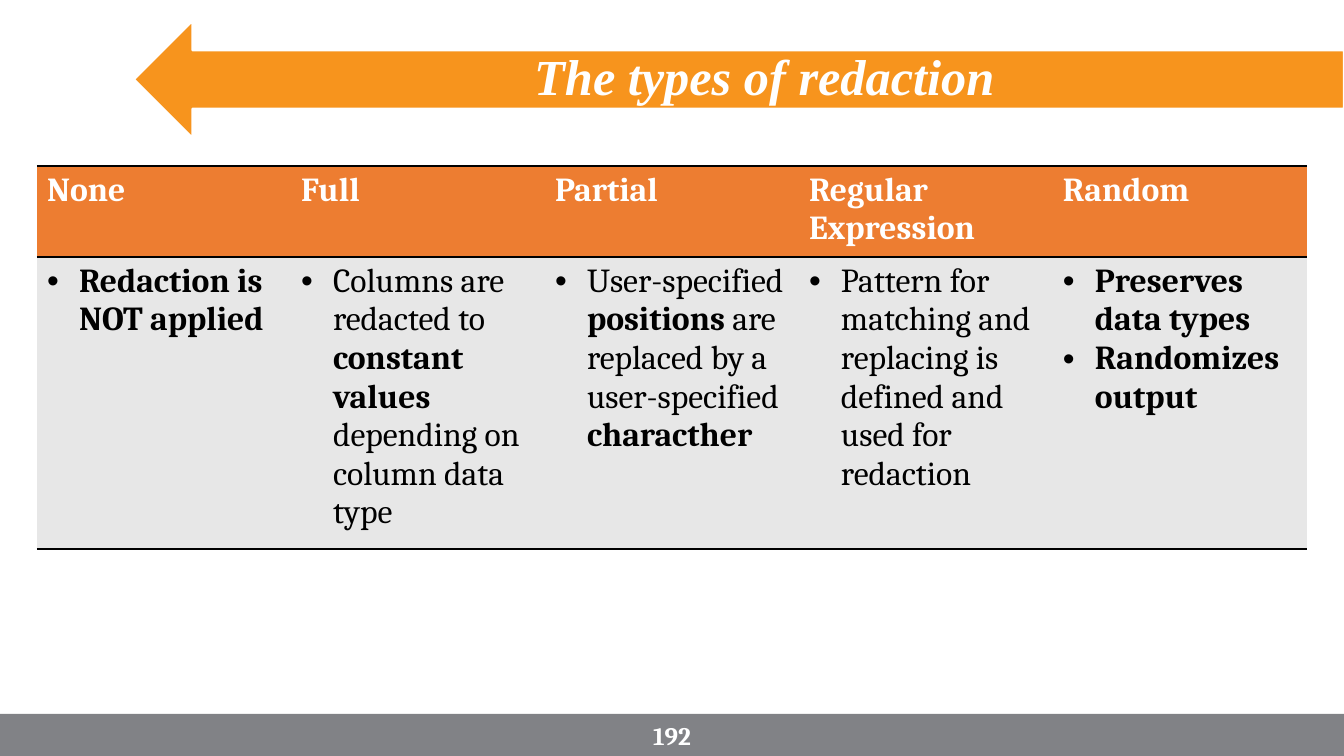
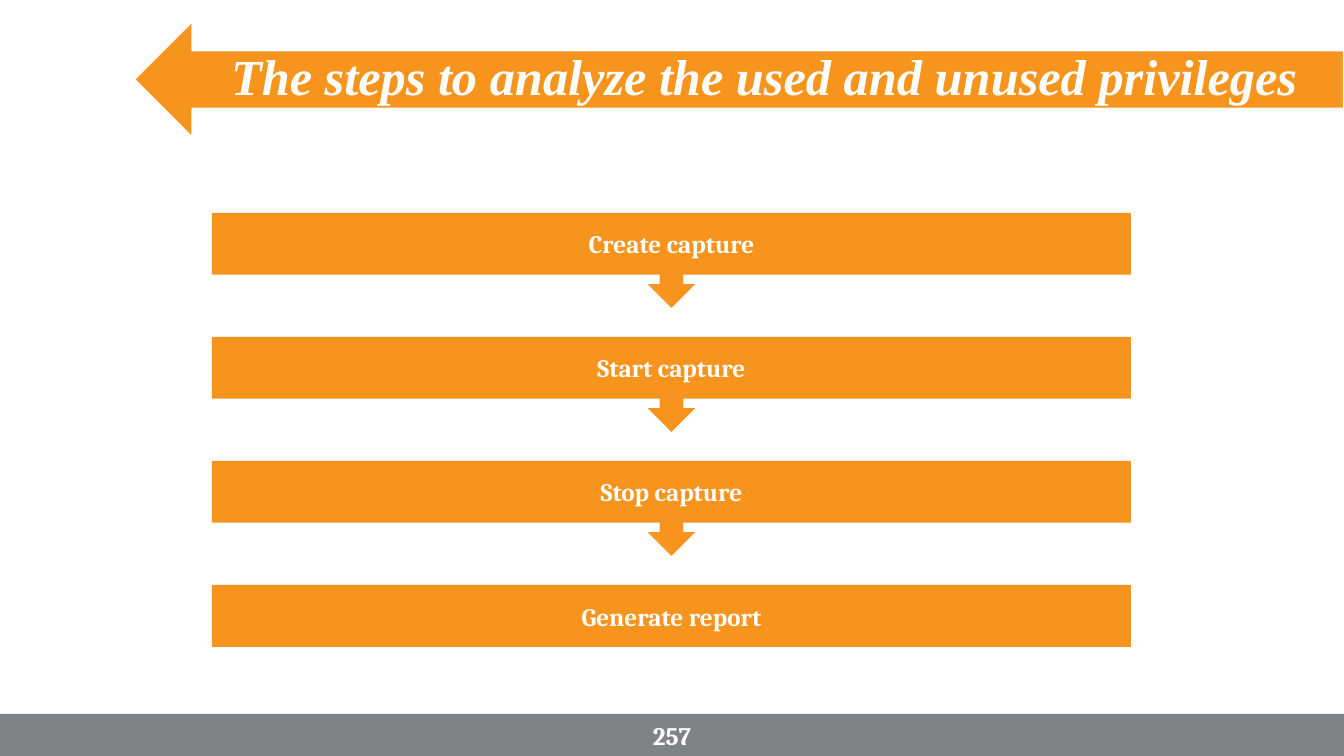
from pptx import Presentation
from pptx import util as u
from pptx.dml.color import RGBColor
from pptx.enum import shapes, text
from pptx.oxml import parse_xml
from pptx.oxml.ns import nsdecls, qn
from lxml import etree

WHITE = RGBColor(0xFF, 0xFF, 0xFF)
BLACK = RGBColor(0x00, 0x00, 0x00)
ORANGE = RGBColor(0xF7, 0x94, 0x1D)
HEADER_ORANGE = RGBColor(0xED, 0x7D, 0x31)
PALE_GRAY = RGBColor(0xE7, 0xE7, 0xE7)
FOOTER_GRAY = RGBColor(0x81, 0x82, 0x86)

BODY_FONT = "Cambria"
TITLE_FONT = "Times New Roman"
PAGE_WIDTH, PAGE_HEIGHT = 1344, 756
EMU_PER_PX = 12192000 / PAGE_WIDTH
PLAIN_TABLE_STYLE = "{2D5ABB26-0587-4C30-8999-92F81FD0307C}"

REDACTION_TYPES = {
    "None": ["**Redaction is NOT applied**"],
    "Full": ["Columns are redacted to **constant values **depending on column data type"],
    "Partial": ["User-specified **positions** are replaced by a user-specified **characther**"],
    "Regular Expression": [
        "Pattern for matching and replacing is defined and used for redaction"],
    "Random": ["**Preserves data types**", "**Randomizes output**"],
}
PRIVILEGE_STEPS = ["Create capture", "Start capture", "Stop capture", "Generate report"]


def px(length):
    return u.Emu(round(length * EMU_PER_PX))


def set_font(para, size, color, name=BODY_FONT, bold=None, italic=None):
    font = para.font
    font.name, font.size, font.color.rgb = name, u.Pt(size), color
    font.bold, font.italic = bold, italic


def add_bullet(para, indent):
    props = para._p.get_or_add_pPr()
    props.set("marL", str(px(indent)))
    props.set("indent", str(-px(indent)))
    etree.SubElement(props, qn("a:buFont")).set("typeface", "Arial")
    etree.SubElement(props, qn("a:buChar")).set("char", "•")


def add_spans(para, marked):
    """Add runs, with the parts between ** marks in bold."""
    for index, part in enumerate(marked.split("**")):
        if part:
            span = para.add_run()
            span.text = part
            span.font.bold = index % 2 == 1


def rule_cell(cell, points=2):
    """Draw a black line above and below a cell."""
    props = cell._tc.get_or_add_tcPr()
    for position, side in enumerate(("lnT", "lnB")):
        props.insert(position, parse_xml(
            f'<a:{side} {nsdecls("a")} w="{u.Pt(points)}"><a:solidFill>'
            f'<a:srgbClr val="{BLACK}"/></a:solidFill></a:{side}>'))


class Deck:
    def __init__(self):
        self.deck = Presentation()
        self.deck.slide_width = px(PAGE_WIDTH)
        self.deck.slide_height = px(PAGE_HEIGHT)
        self.page = None

    def add_page(self, title, number):
        self.page = self.deck.slides.add_slide(self.deck.slide_layouts[5])
        arrow = self.add_block(shapes.MSO_SHAPE.LEFT_ARROW, 134, 21, 1210, 117, ORANGE)
        arrow.line.color.rgb = WHITE
        arrow.line.width = u.Pt(1.5)
        self.add_block(shapes.MSO_SHAPE.RECTANGLE, 0, 714, PAGE_WIDTH, 42, FOOTER_GRAY)
        self.add_title(title)
        self.add_number(number)

    def add_title(self, title):
        box = self.page.shapes.title
        box.element.getparent().append(box.element)  # in front of the arrow
        box.left, box.top, box.width, box.height = map(px, (167, 43, 1195, 73))
        box.text_frame.vertical_anchor = text.MSO_ANCHOR.MIDDLE
        para = box.text_frame.paragraphs[0]
        para.text = title
        para.alignment = text.PP_ALIGN.CENTER
        para.line_spacing = 0.9
        set_font(para, 36, WHITE, TITLE_FONT, bold=True, italic=True)

    def add_number(self, number):
        box = self.page.shapes.add_textbox(*map(px, (634, 715, 76, 40)))
        self.write_label(box, str(number))

    def write_label(self, box, label):
        frame = box.text_frame
        frame.word_wrap = True
        frame.vertical_anchor = text.MSO_ANCHOR.MIDDLE
        para = frame.paragraphs[0]
        para.text = label
        para.alignment = text.PP_ALIGN.CENTER
        set_font(para, 18, WHITE, bold=True)

    def add_block(self, kind, left, top, width, height, color):
        block = self.page.shapes.add_shape(kind, *map(px, (left, top, width, height)))
        block.shadow.inherit = False
        block.fill.solid()
        block.fill.fore_color.rgb = color
        block.line.fill.background()
        return block

    def add_table(self, columns, left, top, column_width, row_heights):
        """Draw one column per entry: its key as header, its items as bullets."""
        frame = self.page.shapes.add_table(
            2, len(columns), px(left), px(top),
            px(column_width * len(columns)), px(sum(row_heights)))
        table = frame.table
        table.horz_banding = False
        table._tbl.tblPr.find(qn("a:tableStyleId")).text = PLAIN_TABLE_STYLE
        for row, height in zip(table.rows, row_heights):
            row.height = px(height)
        for index, (header, items) in enumerate(columns.items()):
            table.columns[index].width = px(column_width)
            self.fill_cell(table.cell(0, index), [f"**{header}**"], HEADER_ORANGE, WHITE)
            self.fill_cell(table.cell(1, index), items, PALE_GRAY, BLACK, bulleted=True)

    def fill_cell(self, cell, items, background, color, bulleted=False):
        cell.fill.solid()
        cell.fill.fore_color.rgb = background
        rule_cell(cell)
        for index, item in enumerate(items):
            frame = cell.text_frame
            para = frame.add_paragraph() if index else frame.paragraphs[0]
            if bulleted:
                add_bullet(para, 32)
            add_spans(para, item)
            set_font(para, 24, color)

    def add_steps(self, steps, left, top, width, pitch):
        """Stack callouts that point down to a closing rectangle."""
        for index, step in enumerate(steps):
            if index < len(steps) - 1:
                kind, height = shapes.MSO_SHAPE.DOWN_ARROW_CALLOUT, 95
            else:
                kind, height = shapes.MSO_SHAPE.RECTANGLE, 62
            block = self.add_block(kind, left, top + index * pitch, width, height, ORANGE)
            self.write_label(block, step)


def main():
    deck = Deck()
    deck.add_page("The types of redaction", 192)
    deck.add_table(REDACTION_TYPES, 37, 166, 254, (87, 281))
    deck.add_page("The steps to analyze the used and unused privileges", 257)
    deck.add_steps(PRIVILEGE_STEPS, 212, 213, 919, 124)
    deck.deck.save("out.pptx")


if __name__ == "__main__":
    main()
